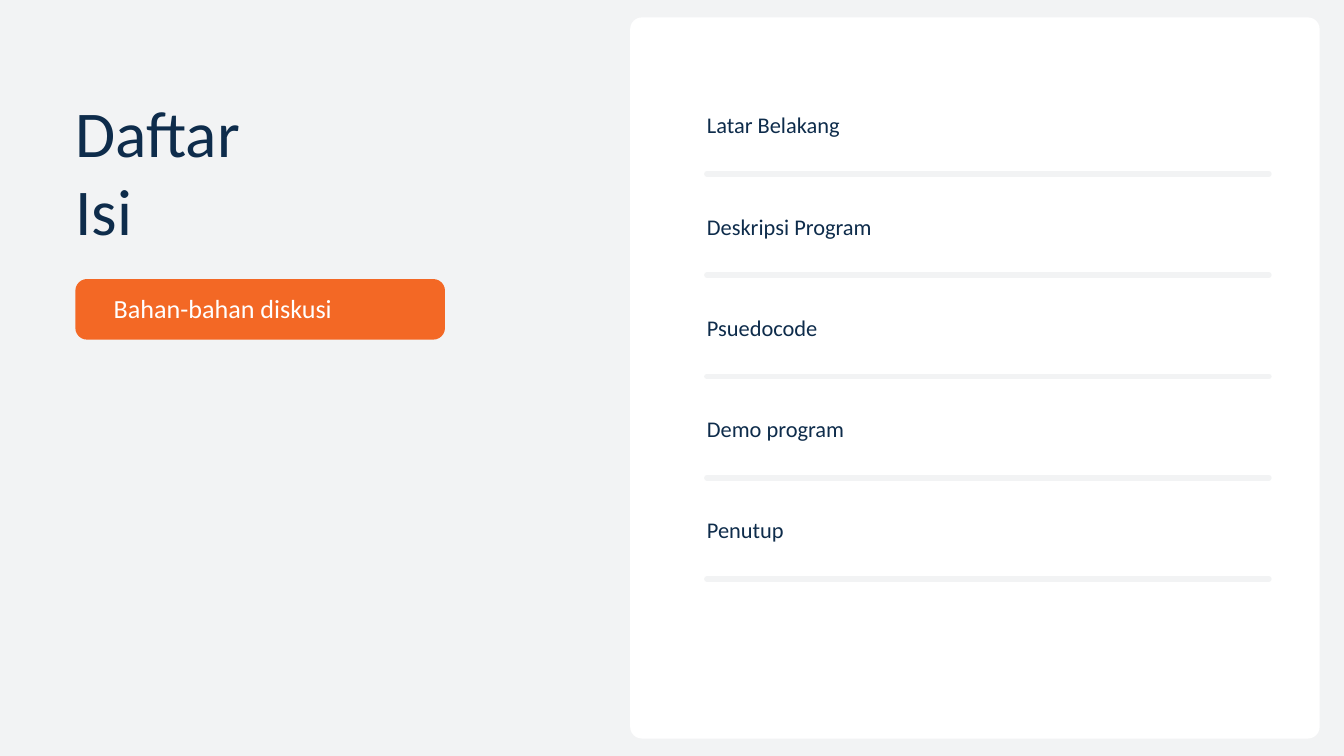
from dataclasses import dataclass

from lxml import etree
from pptx import Presentation
from pptx import util as u
from pptx.dml.color import RGBColor
from pptx.enum import shapes, text
from pptx.oxml import ns


@dataclass(frozen=True)
class Theme:
    """Colours, font and type sizes of the deck."""
    back: str = "F2F3F4"
    card: str = "FFFFFF"
    ink: str = "0E2C4B"
    accent: str = "F36825"
    font: str = "Calibri"
    head: int = 70
    sub: int = 28
    body: int = 24


class Deck:
    """Draws styled elements on the current slide."""

    def __init__(self, theme, width, height):
        self.theme = theme
        self.file = Presentation()
        self.file.slide_width = u.Cm(width)
        self.file.slide_height = u.Cm(height)
        self.slide = None

    def page(self):
        """Start a title-only slide with a plain background."""
        self.slide = self.file.slides.add_slide(self.file.slide_layouts[5])
        fill = self.slide.background.fill
        fill.solid()
        fill.fore_color.rgb = RGBColor.from_string(self.theme.back)

    def style(self, shape, words, size, color, lead):
        """Fill a shape with left-aligned text from its top edge."""
        frame = shape.text_frame
        frame.text = words
        frame.word_wrap = True
        frame.auto_size = text.MSO_AUTO_SIZE.NONE
        frame.vertical_anchor = text.MSO_ANCHOR.TOP
        frame.margin_left = frame.margin_right = 0
        frame.margin_top = frame.margin_bottom = 0
        for para in frame.paragraphs:
            para.alignment = text.PP_ALIGN.LEFT
            para.line_spacing = u.Pt(lead)
            para.space_before = u.Pt(0)
            for run in para.runs:
                run.font.name = self.theme.font
                run.font.size = u.Pt(size)
                run.font.color.rgb = RGBColor.from_string(color)

    def title(self, words, box):
        """Place and style the title placeholder."""
        shape = self.slide.shapes.title
        shape.left, shape.top, shape.width, shape.height = map(u.Cm, box)
        self.style(shape, words, self.theme.head, self.theme.ink, 84)

    def label(self, words, box, size, color):
        """Add one line of text."""
        shape = self.slide.shapes.add_textbox(*map(u.Cm, box))
        self.style(shape, words, size, color, 33.6)

    def panel(self, box, color, radius=0.44):
        """Add a filled panel with rounded corners."""
        kind = shapes.MSO_SHAPE.ROUNDED_RECTANGLE
        shape = self.slide.shapes.add_shape(kind, *map(u.Cm, box))
        shape.adjustments[0] = radius / min(box[2:])
        shape.shadow.inherit = False
        shape.fill.solid()
        shape.fill.fore_color.rgb = RGBColor.from_string(color)
        shape.line.fill.background()

    def rule(self, left, right, top):
        """Add a level line with round ends."""
        ends = map(u.Cm, (left, top, right, top))
        line = self.slide.shapes.add_connector(shapes.MSO_CONNECTOR.STRAIGHT, *ends)
        line.line.color.rgb = RGBColor.from_string(self.theme.back)
        line.line.width = u.Pt(6)
        props = line._element.spPr
        props.find(ns.qn("a:ln")).set("cap", "rnd")
        etree.SubElement(props, ns.qn("a:effectLst"))


def main():
    """Build the contents slide."""
    look = Theme()
    deck = Deck(look, 50.8, 28.58)
    deck.page()
    deck.title("Daftar\nIsi", (2.85, 3.48, 17.15, 5.92))
    deck.panel((23.82, 0.66, 26.06, 27.26), look.card)
    deck.panel((2.85, 10.55, 13.97, 2.29), look.accent)
    deck.label("Bahan-bahan diskusi", (4.3, 11.05, 11.63, 1.17), look.sub, look.card)

    topics = ("Latar Belakang", "Deskripsi Program", "Psuedocode",
              "Demo program", "Penutup")
    left, top, pitch = 26.72, 4.04, 3.83
    for i, topic in enumerate(topics):
        y = top + i * pitch
        deck.label(topic, (left, y, 19.05, 1.12), look.body, look.ink)
        deck.rule(left, 47.96, y + 2.53)
    deck.file.save("out.pptx")


if __name__ == "__main__":
    main()
